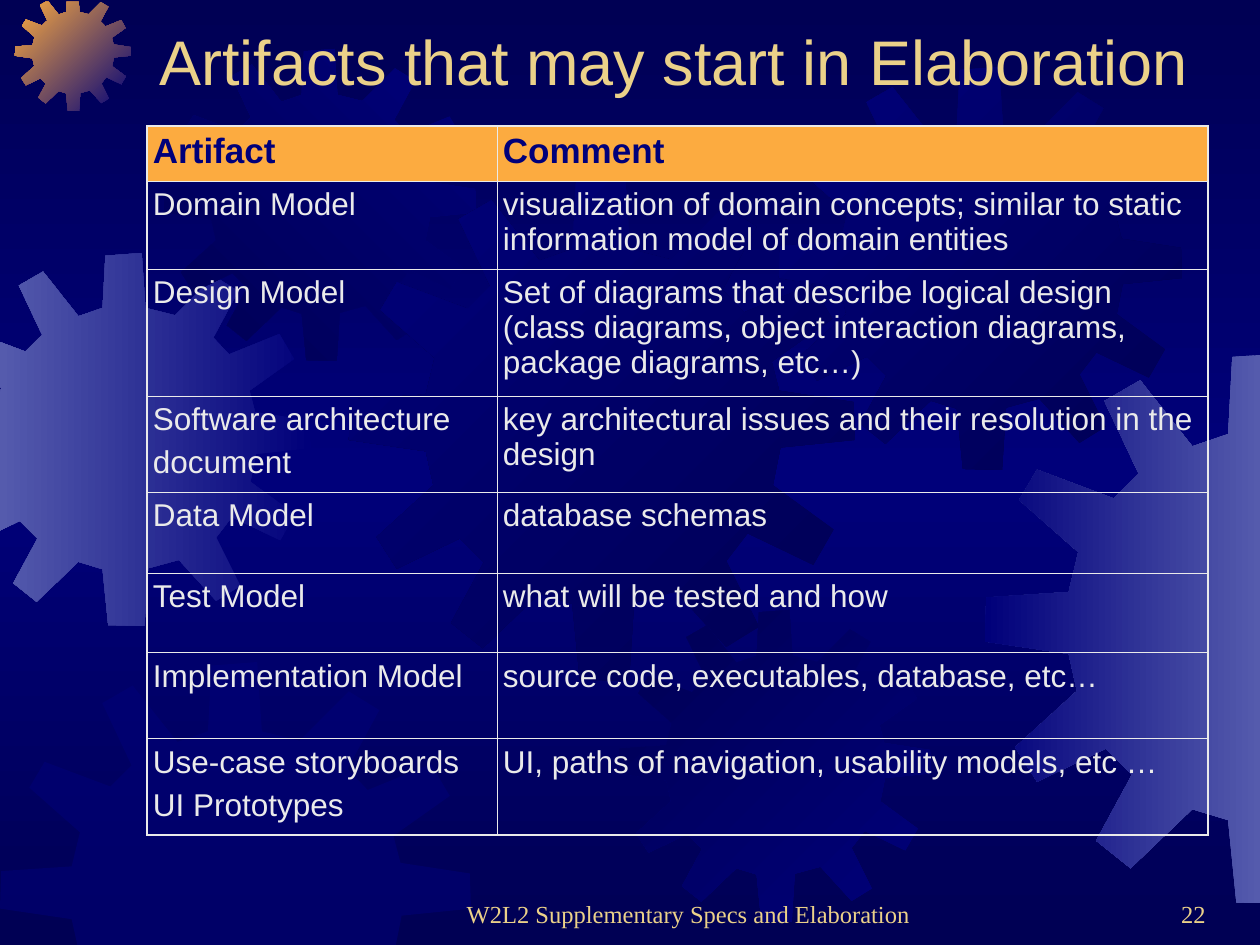
from copy import deepcopy
from dataclasses import dataclass

from lxml import etree
from pptx import Presentation
from pptx.dml.color import RGBColor
from pptx.enum.text import MSO_ANCHOR, PP_ALIGN
from pptx.oxml.ns import qn
from pptx.util import Pt

LEFT, CENTER, RIGHT = PP_ALIGN.LEFT, PP_ALIGN.CENTER, PP_ALIGN.RIGHT
BOTTOM = MSO_ANCHOR.BOTTOM
EMU_PER_PX = 914400 / 126
WIDTH, HEIGHT = 1260, 945


@dataclass(frozen=True)
class Theme:
    navy: str = "000054"
    blue: str = "00007A"
    lilac: str = "555BAD"
    orange: str = "FCAB40"
    gold: str = "EBD189"
    light: str = "EAEAEA"
    sans: str = "Arial"
    serif: str = "Times New Roman"
    title_size: int = 36
    header_size: int = 20
    body_size: int = 18
    footer_size: int = 14
    paragraph_gap: float = 4.5
    outer_border: float = 1.08
    inner_border: float = 0.45


# Gear outline on a square grid of GEAR_UNITS
GEAR_UNITS = 401
GEAR_OUTLINE = [
    (255, 67), (223, 59), (219, 0), (180, 3), (177, 59), (151, 68), (113, 20), (87, 35),
    (112, 88), (94, 106), (38, 85), (25, 107), (68, 145), (61, 174), (1, 178), (0, 210),
    (61, 219), (67, 246), (22, 287), (38, 312), (88, 288), (107, 307), (81, 355), (106, 375),
    (151, 332), (177, 340), (183, 400), (222, 401), (226, 339), (259, 330), (299, 374), (325, 358),
    (299, 306), (316, 284), (368, 309), (384, 281), (336, 246), (342, 216), (401, 210), (400, 180),
    (341, 171), (335, 148), (383, 114), (367, 87), (313, 109), (296, 91), (323, 41), (297, 25),
]


def emu(px):
    return round(px * EMU_PER_PX)


def clip(points, axis, limit, sign):
    """Keep the part of a polygon where sign * coordinate >= sign * limit."""
    kept = []
    for start, end in zip(points[-1:] + points[:-1], points):
        start_inside = sign * start[axis] >= sign * limit
        end_inside = sign * end[axis] >= sign * limit
        if start_inside != end_inside:
            share = (limit - start[axis]) / (end[axis] - start[axis])
            kept.append(tuple(a + share * (b - a) for a, b in zip(start, end)))
        if end_inside:
            kept.append(end)
    return kept


class SlideBuilder:
    def __init__(self, slide, theme):
        self.slide = slide
        self.theme = theme

    def gradient(self, fill, element, colours, angle):
        fill.gradient()
        fill.gradient_angle = angle
        stop_list = element.find(".//" + qn("a:gsLst"))
        while len(stop_list) < len(colours):
            stop_list.append(deepcopy(stop_list[0]))
        for index, (stop, colour) in enumerate(zip(fill.gradient_stops, colours)):
            stop.color.rgb = RGBColor.from_string(colour)
            stop.position = index / (len(colours) - 1)

    def background(self, colours, angle):
        self.gradient(self.slide.background.fill, self.slide.element, colours, angle)

    def gear(self, left, top, size, colours, angle=0, alpha=None, clip_top=0):
        ratio = size / GEAR_UNITS
        points = [(left + x * ratio, top + y * ratio) for x, y in GEAR_OUTLINE]
        for axis, limit, sign in ((0, 0, 1), (0, WIDTH, -1), (1, clip_top, 1), (1, HEIGHT, -1)):
            points = clip(points, axis, limit, sign)
        points = [(emu(x), emu(y)) for x, y in points]
        builder = self.slide.shapes.build_freeform(*points[0])
        builder.add_line_segments(points[1:], close=True)
        shape = builder.convert_to_shape()
        shape.shadow.inherit = False
        shape.line.fill.background()
        if len(colours) > 1:
            self.gradient(shape.fill, shape.element, colours, angle)
            return
        shape.fill.solid()
        shape.fill.fore_color.rgb = RGBColor.from_string(colours[0])
        colour = shape.element.spPr.find(".//" + qn("a:srgbClr"))
        etree.SubElement(colour, qn("a:alpha"), val=str(alpha * 1000))

    def add_lines(self, frame, lines, size, font, colour, bold=False, align=LEFT):
        for index, line in enumerate(lines):
            paragraph = frame.add_paragraph() if index else frame.paragraphs[0]
            paragraph.alignment = align
            if index:
                paragraph.space_before = Pt(self.theme.paragraph_gap)
            run = paragraph.add_run()
            run.text = line
            run.font.size = Pt(size)
            run.font.name = font
            run.font.bold = bold
            run.font.color.rgb = RGBColor.from_string(colour)

    def text(self, left, top, width, height, line, size, font, align=LEFT):
        box = self.slide.shapes.add_textbox(emu(left), emu(top), emu(width), emu(height))
        frame = box.text_frame
        frame.word_wrap = True
        frame.vertical_anchor = BOTTOM
        self.add_lines(frame, [line], size, font, self.theme.gold, align=align)

    def borders(self, cell, outer_sides):
        properties = cell._tc.get_or_add_tcPr()
        for side in "LRTB":
            width = self.theme.outer_border if side in outer_sides else self.theme.inner_border
            line = etree.SubElement(properties, qn("a:ln" + side), w=str(int(Pt(width))))
            fill = etree.SubElement(line, qn("a:solidFill"))
            etree.SubElement(fill, qn("a:srgbClr"), val=self.theme.light)

    def table(self, left, top, column_widths, row_heights, rows):
        theme = self.theme
        last_row, last_column = len(rows) - 1, len(column_widths) - 1
        table = self.slide.shapes.add_table(
            len(rows), len(column_widths), emu(left), emu(top),
            emu(sum(column_widths)), emu(sum(row_heights))).table
        table.first_row = table.horz_banding = False
        for column, width in zip(table.columns, column_widths):
            column.width = emu(width)
        for row_index, (row, height) in enumerate(zip(rows, row_heights)):
            table.rows[row_index].height = emu(height)
            for column_index, lines in enumerate(row):
                cell = table.cell(row_index, column_index)
                cell.margin_left = cell.margin_right = emu(6)
                cell.margin_top = cell.margin_bottom = emu(6)
                edges = {"L": column_index == 0, "R": column_index == last_column,
                         "T": row_index == 0, "B": row_index == last_row}
                self.borders(cell, [side for side, outer in edges.items() if outer])
                if row_index == 0:
                    cell.fill.solid()
                    cell.fill.fore_color.rgb = RGBColor.from_string(theme.orange)
                    self.add_lines(cell.text_frame, lines, theme.header_size, theme.sans,
                                   theme.blue, bold=True)
                else:
                    cell.fill.background()
                    self.add_lines(cell.text_frame, lines, theme.body_size, theme.sans, theme.light)


ARTIFACTS = [
    (["Artifact"], ["Comment"]),
    (["Domain Model"],
     ["visualization of domain concepts; similar to static information model of domain entities"]),
    (["Design Model"],
     ["Set of diagrams that describe logical design (class diagrams, object interaction diagrams, "
      "package diagrams, etc…)"]),
    (["Software architecture", "document"],
     ["key architectural issues and their resolution in the design"]),
    (["Data Model"], ["database schemas"]),
    (["Test Model"], ["what will be tested and how"]),
    (["Implementation Model"], ["source code, executables, database, etc…"]),
    (["Use-case storyboards", "UI Prototypes"],
     ["UI, paths of navigation, usability models, etc …"]),
]


def main():
    presentation = Presentation()
    presentation.slide_width, presentation.slide_height = emu(WIDTH), emu(HEIGHT)
    theme = Theme()
    builder = SlideBuilder(presentation.slides.add_slide(presentation.slide_layouts[6]), theme)

    # Background and gears
    builder.background([theme.navy, theme.blue, theme.navy], 270)
    builder.gear(-62, 253, 373, [theme.blue, theme.lilac], 180)
    builder.gear(15, -5, 116, [theme.blue, theme.orange], 135, clip_top=2)
    builder.gear(164, 49, 312, [theme.blue, theme.navy], 225)
    builder.gear(349, 175, 506, [theme.navy, theme.blue], 135)
    builder.gear(0, 662, 471, [theme.blue], alpha=50)
    builder.gear(619, 610, 312, [theme.blue, theme.navy], 135)
    builder.gear(779, 67, 403, [theme.navy, theme.blue], 135)
    builder.gear(985, 353, 551, [theme.lilac, theme.blue], 180)

    # Title and table
    builder.text(147, 16, 1071, 88, "Artifacts that may start in Elaboration",
                 theme.title_size, theme.sans)
    builder.table(147, 126, [350, 711], [55, 88, 127, 96, 81, 80, 86, 96], ARTIFACTS)

    # Footer
    builder.text(410, 872, 557, 63, "W2L2 Supplementary Specs and Elaboration",
                 theme.footer_size, theme.serif, CENTER)
    builder.text(1008, 872, 210, 63, "22", theme.footer_size, theme.serif, RIGHT)

    presentation.save("out.pptx")


if __name__ == "__main__":
    main()
